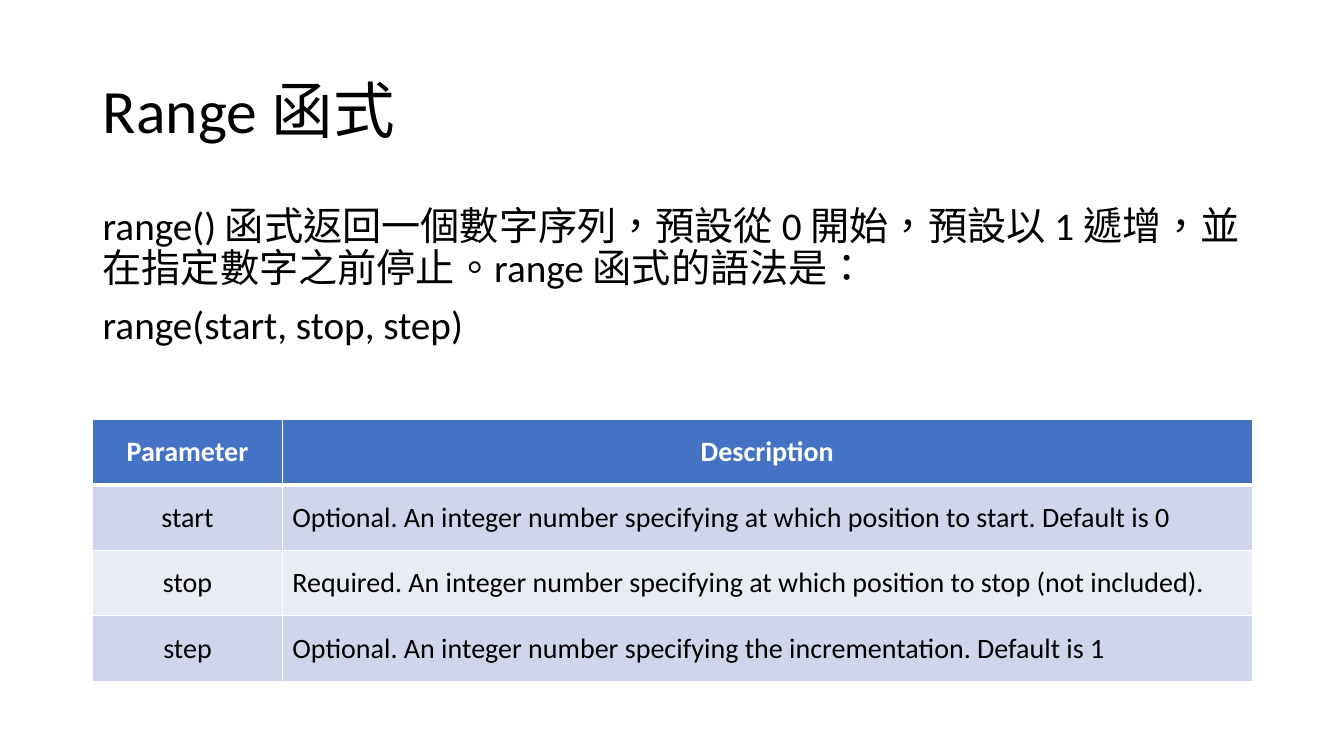
from lxml import etree
from pptx import Presentation
from pptx.dml.color import RGBColor
from pptx.enum.lang import MSO_LANGUAGE_ID as Language
from pptx.enum.text import MSO_ANCHOR as Anchor, MSO_AUTO_SIZE as AutoSize, PP_ALIGN as Align
from pptx.oxml.ns import qn
from pptx.util import Pt

EMU_PER_PX = 9144  # 100 px to the inch
BLACK = RGBColor(0x00, 0x00, 0x00)
WHITE = RGBColor(0xFF, 0xFF, 0xFF)
HEADER_BLUE = RGBColor(0x44, 0x72, 0xC4)
BAND_DARK = RGBColor(0xCF, 0xD5, 0xEA)
BAND_LIGHT = RGBColor(0xE9, 0xEB, 0xF5)

LEFT, WIDTH = 92, 1150
COLUMN_WIDTHS = (188, 962)
ROW_HEIGHT = 65

TITLE = "Range 函式"
BODY = (
    "range() 函式返回一個數字序列，預設從 0 開始，預設以 1 遞增，並在指定數字之前停止。range 函式的語法是：",
    "range(start, stop, step)",
)
PARAMETERS = (
    ("Parameter", "Description"),
    ("start", "Optional. An integer number specifying at which position to start. Default is 0"),
    ("stop", "Required. An integer number specifying at which position to stop (not included)."),
    ("step", "Optional. An integer number specifying the incrementation. Default is 1"),
)

TITLE_FORMAT = {"size": Pt(44), "bold": False, "language_id": Language.TRADITIONAL_CHINESE}
BODY_FORMAT = {"size": Pt(28), "language_id": Language.TRADITIONAL_CHINESE}
HEADER_FORMAT = {"size": Pt(20), "bold": True}
CELL_FORMAT = {"size": Pt(20), "bold": False}


def px(length):
    return length * EMU_PER_PX


def write_paragraph(paragraph, text, font_format, color=BLACK, **paragraph_format):
    for name, value in paragraph_format.items():
        setattr(paragraph, name, value)
    run = paragraph.add_run()
    run.text = text
    for name, value in {"name": "Calibri", **font_format}.items():
        setattr(run.font, name, value)
    run.font.color.rgb = color


def add_title(slide):
    title = slide.shapes.title
    box = {"left": LEFT, "top": 40, "width": WIDTH, "height": 145}
    for name, value in box.items():
        setattr(title, name, px(value))
    frame = title.text_frame
    frame.auto_size = AutoSize.NONE
    frame.vertical_anchor = Anchor.MIDDLE
    write_paragraph(frame.paragraphs[0], TITLE, TITLE_FORMAT,
                    alignment=Align.LEFT, line_spacing=0.9)


def add_body(slide):
    frame = slide.shapes.add_textbox(px(LEFT), px(200), px(WIDTH), px(476)).text_frame
    frame.word_wrap = True
    for index, text in enumerate(BODY):
        paragraph = frame.add_paragraph() if index else frame.paragraphs[0]
        write_paragraph(paragraph, text, BODY_FORMAT, line_spacing=0.9, space_before=Pt(10))


def set_borders(cell, row):
    """Draw white cell edges, with a thicker rule under the header row."""
    widths = {"L": 1, "R": 1, "T": 3 if row == 1 else 1, "B": 3 if row == 0 else 1}
    properties = cell._tc.get_or_add_tcPr()
    for side, width in widths.items():
        line = etree.SubElement(properties, qn(f"a:ln{side}"), w=str(Pt(width)))
        fill = etree.SubElement(line, qn("a:solidFill"))
        etree.SubElement(fill, qn("a:srgbClr"), val=str(WHITE))


def fill_cell(cell, text, row, column):
    is_header = row == 0
    set_borders(cell, row)
    cell.fill.solid()
    band = BAND_DARK if row % 2 else BAND_LIGHT
    cell.fill.fore_color.rgb = HEADER_BLUE if is_header else band
    cell.vertical_anchor = Anchor.MIDDLE
    write_paragraph(
        cell.text_frame.paragraphs[0], text,
        HEADER_FORMAT if is_header else CELL_FORMAT,
        WHITE if is_header else BLACK,
        alignment=Align.CENTER if is_header or column == 0 else Align.LEFT,
    )


def add_parameter_table(slide):
    row_count = len(PARAMETERS)
    table = slide.shapes.add_table(row_count, len(COLUMN_WIDTHS), px(LEFT), px(416),
                                   px(WIDTH), px(ROW_HEIGHT * row_count)).table
    for column, width in zip(table.columns, COLUMN_WIDTHS):
        column.width = px(width)
    for row, texts in enumerate(PARAMETERS):
        table.rows[row].height = px(ROW_HEIGHT)
        for column, text in enumerate(texts):
            fill_cell(table.cell(row, column), text, row, column)


def main():
    presentation = Presentation()
    presentation.slide_width = px(1333)
    presentation.slide_height = px(750)
    slide = presentation.slides.add_slide(presentation.slide_layouts.get_by_name("Title Only"))
    add_title(slide)
    add_body(slide)
    add_parameter_table(slide)
    presentation.save("out.pptx")


if __name__ == "__main__":
    main()
